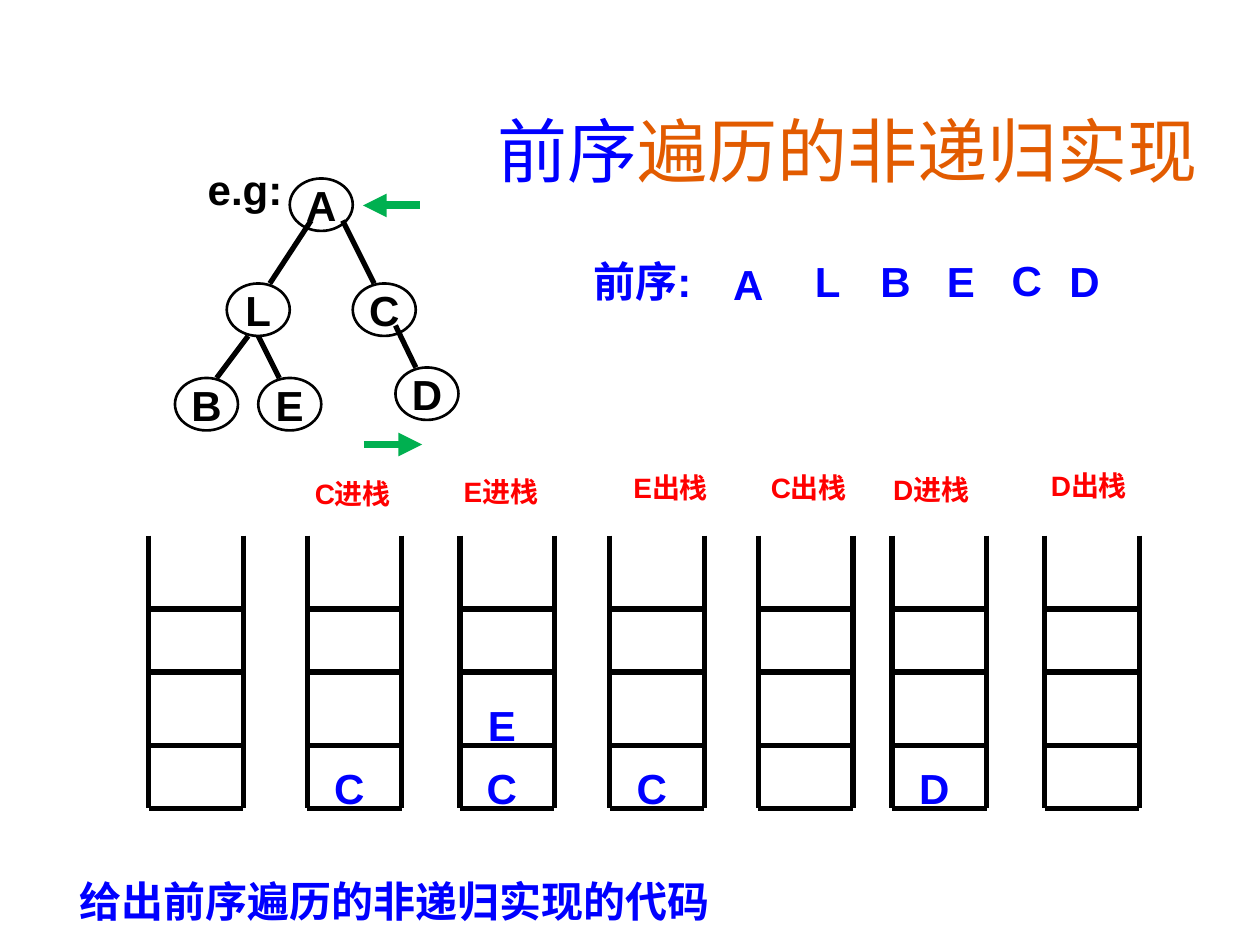
from dataclasses import dataclass

from lxml.etree import SubElement
from pptx import Presentation
from pptx.dml.color import RGBColor
from pptx.enum.shapes import MSO_CONNECTOR, MSO_SHAPE
from pptx.enum.text import MSO_ANCHOR, PP_ALIGN
from pptx.oxml.ns import qn
from pptx.util import Pt


@dataclass(frozen=True)
class Theme:
    ink: RGBColor = RGBColor(0, 0, 0)
    accent: RGBColor = RGBColor(0, 0, 255)
    heading: RGBColor = RGBColor(0xE2, 0x5B, 0)
    step: RGBColor = RGBColor(255, 0, 0)
    pointer: RGBColor = RGBColor(0, 0xB0, 0x50)
    font: str = "Arial"
    title_font: str = "Comic Neue"
    title_size: Pt = Pt(40)
    body_size: Pt = Pt(24)
    step_size: Pt = Pt(16)
    outline: Pt = Pt(1.5)
    stroke: Pt = Pt(3)
    pointer_stroke: Pt = Pt(4.5)


THEME = Theme()


def apply(target, values):
    for name, value in values.items():
        setattr(target, name, value)


def add_words(frame, words, color, size=THEME.body_size, align=PP_ALIGN.LEFT,
              wrap=True, anchor=MSO_ANCHOR.TOP):
    apply(frame, {"word_wrap": wrap, "vertical_anchor": anchor})
    paragraph = frame.paragraphs[0]
    paragraph.alignment = align
    run = paragraph.add_run()
    run.text = words
    apply(run.font, {"name": THEME.font, "size": size, "bold": True})
    run.font.color.rgb = color


def add_label(slide, box, words, color, **layout):
    label = slide.shapes.add_textbox(*map(Pt, box))
    add_words(label.text_frame, words, color, **layout)


def add_line(slide, start, end, color=THEME.ink, width=THEME.stroke, arrow=False):
    line = slide.shapes.add_connector(MSO_CONNECTOR.STRAIGHT, *map(Pt, (*start, *end)))
    line.line.color.rgb = color
    line.line.width = width
    properties = line._element.spPr
    if arrow:
        SubElement(properties.find(qn("a:ln")), qn("a:tailEnd"), type="triangle")
    SubElement(properties, qn("a:effectLst"))


def add_title(slide, box):
    title = slide.shapes.title
    apply(title, dict(zip(("left", "top", "width", "height"), map(Pt, box))))
    apply(title.text_frame, {"word_wrap": True, "vertical_anchor": MSO_ANCHOR.MIDDLE})
    paragraph = title.text_frame.paragraphs[0]
    paragraph.alignment = PP_ALIGN.CENTER
    for words, color in (("前序", THEME.accent), ("遍历的非递归实现", THEME.heading)):
        run = paragraph.add_run()
        run.text = words
        apply(run.font, {"name": THEME.title_font, "size": THEME.title_size})
        run.font.color.rgb = color


def add_tree(slide, left, top):
    nodes = {"B": (0, 114), "C": (101.6, 60), "D": (126, 108),
             "E": (47.6, 114), "L": (29.6, 60), "A": (65.6, 0)}
    edges = [((77.8, 24), (54.2, 60)), ((95.8, 24), (113.8, 60)),
             ((126, 84), (137.6, 108)), ((47.6, 90), (59.6, 114)),
             ((41.8, 90), (23.8, 114))]
    pointers = [((139.8, 15.4), (107.4, 15.4)), ((108, 152), (141.2, 152))]

    def place(point):
        return left + point[0], top + point[1]

    for letter, corner in nodes.items():
        node = slide.shapes.add_shape(
            MSO_SHAPE.OVAL, *map(Pt, (*place(corner), 36, 30)))
        node.shadow.inherit = False
        node.fill.background()
        node.line.color.rgb = THEME.ink
        node.line.width = THEME.outline
        add_words(node.text_frame, letter, THEME.ink, align=PP_ALIGN.CENTER,
                  wrap=False, anchor=MSO_ANCHOR.MIDDLE)
    for start, end in edges:
        add_line(slide, place(start), place(end))
    for start, end in pointers:
        add_line(slide, place(start), place(end), THEME.pointer,
                 THEME.pointer_stroke, arrow=True)
    add_label(slide, (*place((11.6, -12)), 84, 36), "e.g:", THEME.ink)


def add_visit_order(slide, left, top):
    visits = [("前序:", 0, 0.6, 76), ("A", 79.8, 2, 32), ("L", 126.6, 0.6, 29),
              ("B", 164, 0.6, 32), ("E", 202, 0.6, 30), ("C", 239, 0, 32),
              ("D", 272, 0.6, 32)]
    for words, across, down, width in visits:
        add_label(slide, (left + across, top + down, width, 36), words,
                  THEME.accent, wrap=False)


def add_stack(slide, left, top, contents):
    width, height, cell = 54, 156, 36
    for rail in (left, left + width):
        add_line(slide, (rail, top), (rail, top + height))
    for rung in (height, 120, 78, 42):
        add_line(slide, (left, top + rung), (left + width, top + rung))
    for level, letter in enumerate(contents):
        add_label(slide, (left, top + 126 - level * cell, 48, cell), letter,
                  THEME.accent, align=PP_ALIGN.CENTER)


def add_stack_row(slide, left, top):
    steps = [(0, "", "", 0, 0), (90.6, "C", "C进栈", -2.8, -37.4),
             (177.8, "CE", "E进栈", -5, -38.2), (263.4, "C", "E出栈", 6.5, -40.4),
             (348.4, "", "C出栈", 0, -40.4), (424.8, "D", "D进栈", -6.5, -39.6),
             (512, "", "D出栈", -3.6, -41.8)]
    for across, contents, action, shift, rise in steps:
        add_stack(slide, left + across, top, contents)
        if action:
            add_label(slide, (left + across + shift, top + rise, 72, 26.6),
                      action, THEME.step, size=THEME.step_size)


def main():
    deck = Presentation()
    apply(deck, {"slide_width": Pt(720), "slide_height": Pt(540)})
    slide = deck.slides.add_slide(deck.slide_layouts[5])
    add_title(slide, (212.4, 59, 543.6, 53.3))
    add_tree(slide, 100, 102)
    add_visit_order(slide, 332, 142)
    add_stack_row(slide, 85, 306)
    add_label(slide, (38.2, 496.8, 442, 36), "给出前序遍历的非递归实现的代码", THEME.accent)
    deck.save("out.pptx")


if __name__ == "__main__":
    main()
